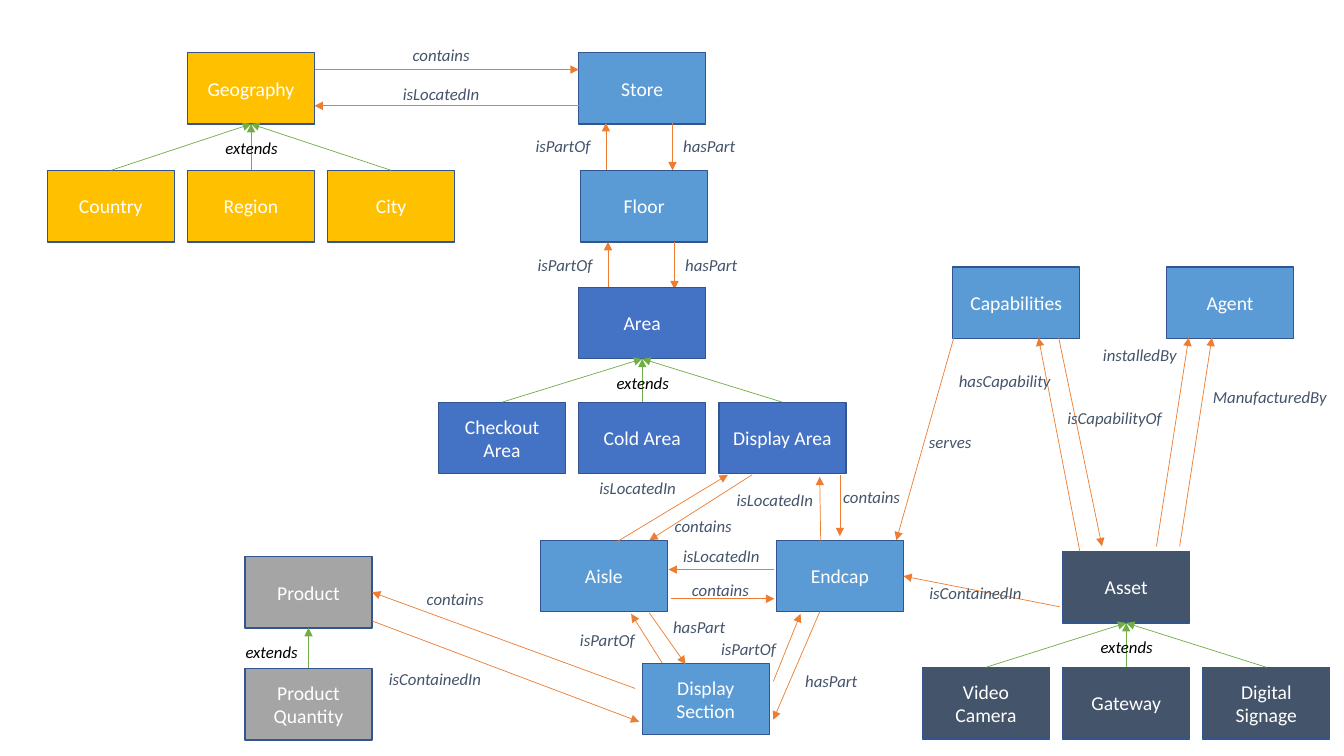
from lxml import etree
from pptx import Presentation
from pptx.dml.color import RGBColor
from pptx.enum.shapes import MSO_CONNECTOR as CONN, MSO_SHAPE as SHAPE
from pptx.enum.text import MSO_ANCHOR as ANCHOR, PP_ALIGN as ALIGN
from pptx.oxml.ns import qn
from pptx.util import Pt

PX = 9144  # 100 px to the inch
BOX_W, BOX_H, GAP = 126, 71, 13
LABEL_W, LABEL_H = 147, 38
TOP, BOTTOM, RIGHT = 0, 2, 3

GOLD, SKY, BLUE, GREY, SLATE = "FFC000", "5B9BD5", "4472C4", "A5A5A5", "44546A"
EDGE, GREEN, ORANGE, WHITE, BLACK = "325491", "70AD47", "ED7D31", "FFFFFF", "000000"
BOX_FONT = {"name": "Calibri", "size": Pt(14)}
LABEL_FONT = {"name": "Calibri", "size": Pt(12), "italic": True}


def px(*lengths):
    return [round(n * PX) for n in lengths]


def color(hex_value):
    return RGBColor.from_string(hex_value)


def write(sp, text, font, ink):
    tf = sp.text_frame
    tf.word_wrap = True
    tf.vertical_anchor = ANCHOR.MIDDLE
    p = tf.paragraphs[0]
    p.alignment = ALIGN.CENTER
    r = p.add_run()
    r.text = text
    for key, value in font.items():
        setattr(r.font, key, value)
    r.font.color.rgb = color(ink)


def entity(s, x, y, text, fill):
    sp = s.shapes.add_shape(SHAPE.RECTANGLE, *px(x, y, BOX_W, BOX_H))
    sp.shadow.inherit = False
    sp.fill.solid()
    sp.fill.fore_color.rgb = color(fill)
    sp.line.color.rgb = color(EDGE)
    sp.line.width = Pt(1)
    write(sp, text, BOX_FONT, WHITE)
    return sp


def label(s, x, y, text, ink=SLATE):
    write(s.shapes.add_textbox(*px(x, y, LABEL_W, LABEL_H)), text, LABEL_FONT, ink)


def arrow(s, x1, y1, x2, y2, ink=ORANGE):
    line = s.shapes.add_connector(CONN.STRAIGHT, *px(x1, y1, x2, y2))
    line.line.color.rgb = color(ink)
    line.line.width = Pt(0.5)
    etree.SubElement(line.line._get_or_add_ln(), qn("a:tailEnd"), type="triangle")
    etree.SubElement(line._element.spPr, qn("a:effectLst"))
    return line


def relations(s, x, y, rows):
    """Arrows with their labels, measured from (x, y)."""
    lines = []
    for x1, y1, x2, y2, text, label_x, label_y in rows:
        lines.append(arrow(s, x + x1, y + y1, x + x2, y + y2))
        label(s, x + label_x, y + label_y, text)
    return lines


def family(s, box, parent, children, fill, label_shift=0):
    """A parent centred above the row of children that extend it."""
    x, y, w, h = box
    mid, row_y = x + w // 2, y + h - BOX_H
    top = entity(s, mid - BOX_W // 2, y, parent, fill)
    for i, name in enumerate(children):
        left = x + i * (BOX_W + GAP)
        child = entity(s, left, row_y, name, fill)
        line = arrow(s, left + BOX_W // 2, row_y, mid, y + BOX_H, GREEN)
        line.begin_connect(child, TOP)
        line.end_connect(top, BOTTOM)
    label(s, mid - LABEL_W // 2 + label_shift, y + 76, "extends", BLACK)
    return top


def store_column(s, x, y):
    """Store above Floor, each linked to the part below it."""
    for i, name in enumerate(("Store", "Floor")):
        entity(s, x + 2 * i, y + 117 * i, name, SKY)
        relations(s, x + 2 * i, y + 118 * i, [
            (93, 70, 93, 117, "hasPart", 56, 74),
            (27, 117, 27, 70, "isPartOf", -89, 74),
        ])


def geography_links(s, x, y):
    relations(s, x, y, [
        (0, 0, 262, 0, "contains", 52, -34),
        (262, 36, 0, 36, "isLocatedIn", 52, 5),
    ])


def fixtures(s, x, y):
    """Aisle, Endcap and Display Section, below Display Area."""
    entity(s, x, y + 66, "Aisle", SKY)
    endcap = entity(s, x + 234, y + 66, "Endcap", SKY)
    entity(s, x + 101, y + 188, "Display Section", SKY)
    relations(s, x, y, [
        # Display Area
        (75, 68, 186, 1, "isLocatedIn", 23, -5),
        (210, 1, 108, 66, "contains", 88, 33),
        (278, 67, 277, 3, "isLocatedIn", 159, 7),
        (297, 1, 297, 62, "contains", 255, 4),
        # Aisle and Endcap
        (232, 95, 127, 95, "isLocatedIn", 106, 62),
        (130, 124, 232, 124, "contains", 105, 96),
        # Display Section
        (121, 188, 90, 139, "isPartOf", -7, 146),
        (108, 138, 144, 189, "hasPart", 84, 133),
        (231, 206, 258, 139, "isPartOf", 133, 155),
        (277, 137, 231, 244, "hasPart", 215, 186),
    ])
    return endcap


def product_links(s, x, y, product):
    lines = relations(s, x, y, [
        (261, 131, 0, 36, "contains", 9, 23),
        (0, 64, 265, 164, "isContainedIn", -11, 102),
    ])
    lines[0].end_connect(product, RIGHT)


def asset_links(s, x, y, endcap):
    """Capabilities and Agent, with their links to Asset and Endcap."""
    entity(s, x, y, "Capabilities", SKY)
    entity(s, x + 212, y, "Agent", SKY)
    lines = relations(s, x, y, [
        (106, 337, -50, 307, "isContainedIn", -51, 304),
        (1, 70, -56, 271, "serves", -76, 154),
        (126, 282, 85, 70, "hasCapability", -22, 94),
        (105, 70, 148, 277, "isCapabilityOf", 87, 130),
        (202, 277, 234, 70, "installedBy", 112, 68),
        (225, 277, 257, 70, "ManufacturedBy", 241, 110),
    ])
    lines[0].end_connect(endcap, RIGHT)


def main():
    prs = Presentation()
    prs.slide_width, prs.slide_height = px(1333, 750)
    s = prs.slides.add_slide(prs.slide_layouts[6])

    # Places
    family(s, (47, 52, 404, 188), "Geography", ("Country", "Region", "City"), GOLD)
    store_column(s, 574, 52)
    geography_links(s, 312, 69)
    family(s, (435, 285, 404, 185), "Area",
           ("Checkout Area", "Cold Area", "Display Area"), BLUE)
    endcap = fixtures(s, 536, 470)

    # Products
    product = family(s, (243, 552, 126, 182), "Product", ("Product Quantity",), GREY, -37)
    product_links(s, 369, 552, product)

    # Assets
    family(s, (915, 547, 404, 186), "Asset",
           ("Video Camera", "Gateway", "Digital Signage"), SLATE)
    asset_links(s, 945, 265, endcap)

    prs.save("out.pptx")


if __name__ == "__main__":
    main()
